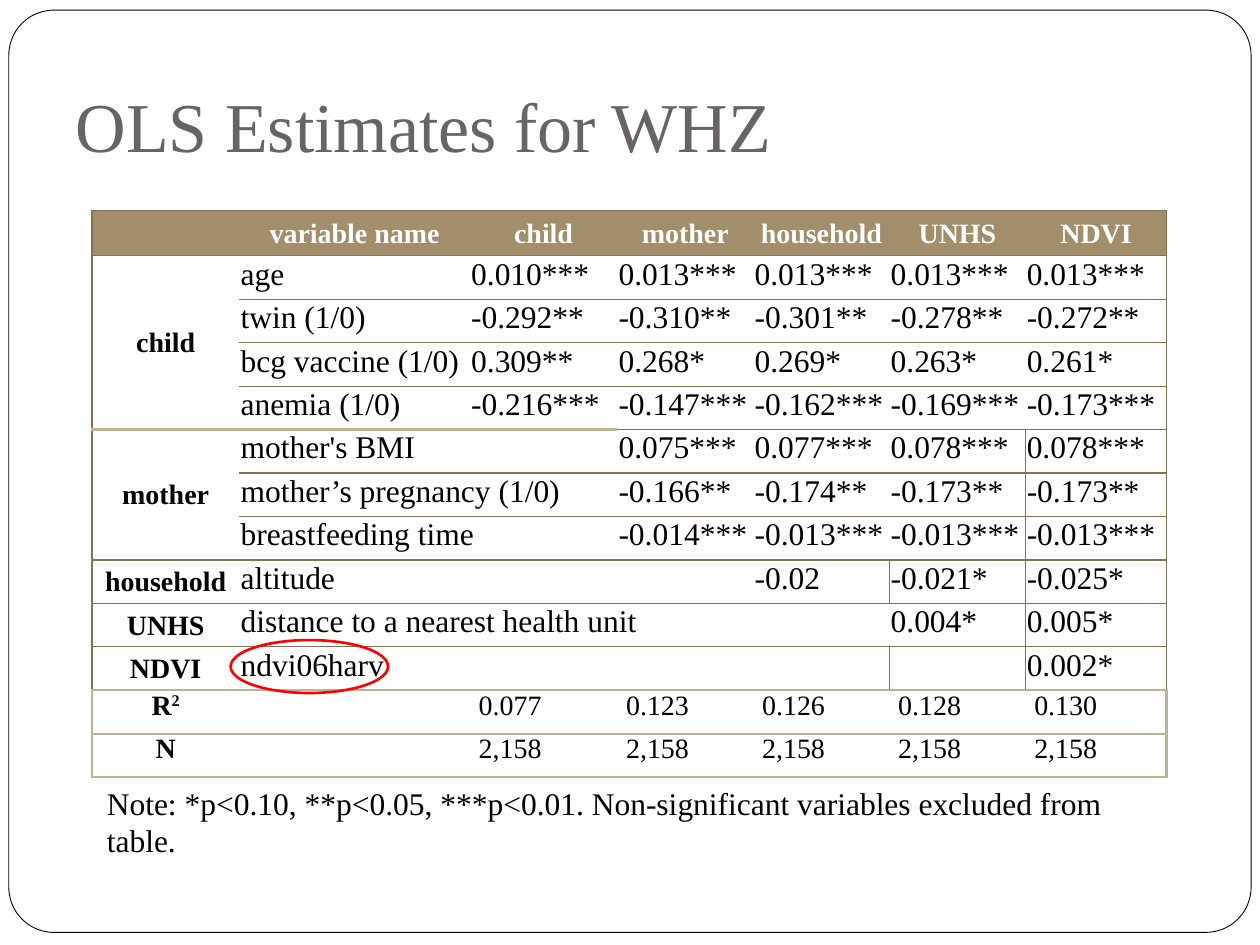
from lxml import etree
from pptx import Presentation
from pptx.dml.color import RGBColor
from pptx.enum.shapes import MSO_SHAPE
from pptx.enum.text import MSO_ANCHOR, PP_ALIGN
from pptx.oxml.ns import qn
from pptx.util import Inches, Pt

TOP, MIDDLE, BOTTOM = MSO_ANCHOR.TOP, MSO_ANCHOR.MIDDLE, MSO_ANCHOR.BOTTOM
LEFT, CENTER = PP_ALIGN.LEFT, PP_ALIGN.CENTER
ROUNDED, OVAL = MSO_SHAPE.ROUNDED_RECTANGLE, MSO_SHAPE.OVAL

FONT = "Times New Roman"
COLORS = {"title": "696464", "header": "A28E6A", "rule": "847253", "accent": "BDB196",
          "text": "000000", "white": "FFFFFF", "highlight": "FF0000"}
PLAIN_STYLE = "{2D5ABB26-0587-4C30-8999-92F81FD0307C}"

TITLE = "OLS Estimates for WHZ"
NOTE = ("Note: *p<0.10, **p<0.05, ***p<0.01. "
        "Non-significant variables excluded from table.")
HEADER = ["", "variable name", "child", "mother", "household", "UNHS", "NDVI"]
GROUPS = [
    ("child", [
        ("age", ["0.010***", "0.013***", "0.013***", "0.013***", "0.013***"]),
        ("twin (1/0)", ["-0.292**", "-0.310**", "-0.301**", "-0.278**", "-0.272**"]),
        ("bcg vaccine (1/0)", ["0.309**", "0.268*", "0.269*", "0.263*", "0.261*"]),
        ("anemia (1/0)", ["-0.216***", "-0.147***", "-0.162***", "-0.169***", "-0.173***"]),
    ]),
    ("mother", [
        ("mother's BMI", ["0.075***", "0.077***", "0.078***", "0.078***"]),
        ("mother’s pregnancy (1/0)", ["-0.166**", "-0.174**", "-0.173**", "-0.173**"]),
        ("breastfeeding time", ["-0.014***", "-0.013***", "-0.013***", "-0.013***"]),
    ]),
    ("household", [("altitude", ["-0.02", "-0.021*", "-0.025*"])]),
    ("UNHS", [("distance to a nearest health unit", ["0.004*", "0.005*"])]),
    ("NDVI", [("ndvi06harv", ["", "", "0.002*"])]),
]
SUMMARY = [("R", "2", ["0.077", "0.123", "0.126", "0.128", "0.130"]),
           ("N", "", ["2,158"] * 5)]
COLUMN_WIDTHS = [1.17, 1.83, 1.17, 1.08, 1.08, 1.08, 1.12]
HEADER_HEIGHT, ROW_HEIGHT = 0.36, 0.345
LAST_COLUMN = len(HEADER) - 1
SUMMARY_START = 1 + sum(len(variables) for _, variables in GROUPS)
ROW_COUNT = SUMMARY_START + len(SUMMARY)
SEPARATORS = {(row, LAST_COLUMN) for row in range(5, 11)} | {(8, 5), (10, 5)}


def rgb(name):
    return RGBColor.from_string(COLORS[name])


def add_span(para, text, size, color="text", bold=False):
    span = para.add_run()
    span.text = text
    span.font.name = FONT
    span.font.size = Pt(size)
    span.font.bold = bold
    span.font.color.rgb = rgb(color)
    return span


def set_margins(target, left, top, right, bottom):
    target.margin_left, target.margin_top = Inches(left), Inches(top)
    target.margin_right, target.margin_bottom = Inches(right), Inches(bottom)


def write(cell, text, size=18, color="text", bold=False, align=LEFT, anchor=TOP):
    cell.vertical_anchor = anchor
    para = cell.text_frame.paragraphs[0]
    para.alignment = align
    if text:
        add_span(para, text, size, color, bold)
    return para


def add_border(cell, side, color):
    width = Pt(1.5 if color == "accent" else 0.75)
    line = etree.SubElement(cell._tc.get_or_add_tcPr(), qn("a:ln" + side), w=str(width))
    fill = etree.SubElement(line, qn("a:solidFill"))
    etree.SubElement(fill, qn("a:srgbClr"), val=COLORS[color])


def bottom_color(row, column):
    if row >= SUMMARY_START - 1 or (row == 4 and column < 3):
        return "accent"
    return "rule"


def format_cell(cell, row, column):
    summary = row >= SUMMARY_START
    set_margins(cell, *((0.07, 0, 0.07, 0) if summary else (0.01, 0.01, 0.01, 0)))
    side_color = "accent" if summary else "rule"
    if column == 0 or (row, column) in SEPARATORS:
        add_border(cell, "L", side_color)
    if column == LAST_COLUMN:
        add_border(cell, "R", side_color)
    if column > 0 or not cell.is_spanned:
        last_row = row + (cell.span_height if cell.is_merge_origin else 1) - 1
        add_border(cell, "T", bottom_color(row - 1, column))
        add_border(cell, "B", bottom_color(last_row, column))
    if row == 0:
        cell.fill.solid()
        cell.fill.fore_color.rgb = rgb("header")
    else:
        cell.fill.background()


def fill_table(table):
    for column, text in enumerate(HEADER):
        write(table.cell(0, column), text, 16, "white", True, CENTER, MIDDLE)
    row = 1
    for label, variables in GROUPS:
        label_cell = table.cell(row, 0)
        if len(variables) > 1:
            label_cell.merge(table.cell(row + len(variables) - 1, 0))
        write(label_cell, label, 16, bold=True, align=CENTER, anchor=MIDDLE)
        for name, values in variables:
            first = len(HEADER) - len(values)
            if first > 2:
                table.cell(row, 1).merge(table.cell(row, first - 1))
            write(table.cell(row, 1), name)
            for column, value in enumerate(values, first):
                write(table.cell(row, column), value)
            row += 1
    for row, (label, power, values) in enumerate(SUMMARY, SUMMARY_START):
        para = write(table.cell(row, 0), label, 16, bold=True, align=CENTER)
        if power:
            span = add_span(para, power, 16, bold=True)
            span.font._element.set("baseline", "30000")
        for column, value in enumerate(values, 2):
            write(table.cell(row, column), value, 16)


def add_outline(page, kind, place, color, width):
    shape = page.shapes.add_shape(kind, *map(Inches, place))
    shape.shadow.inherit = False
    shape.fill.background()
    shape.line.color.rgb = rgb(color)
    shape.line.width = Pt(width)
    return shape


def main():
    deck = Presentation()
    deck.slide_width, deck.slide_height = Inches(10), Inches(7.5)
    page = deck.slides.add_slide(deck.slide_layouts[5])

    frame = add_outline(page, ROUNDED, (0.07, 0.08, 9.86, 7.32), "text", 0.5)
    frame.adjustments[0] = 0.049
    frame.fill.solid()
    frame.fill.fore_color.rgb = rgb("white")
    page.shapes._spTree.insert(2, frame._element)

    title = page.shapes.title
    title.left, title.top = Inches(0.5), Inches(0.17)
    title.width, title.height = Inches(9), Inches(1.25)
    title.text_frame.vertical_anchor = BOTTOM
    set_margins(title.text_frame, 0.1, 0.05, 0.1, 0.1)
    para = title.text_frame.paragraphs[0]
    para.alignment = LEFT
    add_span(para, TITLE, 40, "title")

    height = HEADER_HEIGHT + ROW_HEIGHT * (ROW_COUNT - 1)
    holder = page.shapes.add_table(ROW_COUNT, len(HEADER), Inches(0.73), Inches(1.67),
                                   Inches(sum(COLUMN_WIDTHS)), Inches(height))
    table = holder.table
    table._tbl.tblPr.find(qn("a:tableStyleId")).text = PLAIN_STYLE
    table.horz_banding = False
    for column, width in zip(table.columns, COLUMN_WIDTHS):
        column.width = Inches(width)
    for index, row in enumerate(table.rows):
        row.height = Inches(ROW_HEIGHT if index else HEADER_HEIGHT)
    fill_table(table)
    for row in range(ROW_COUNT):
        for column in range(len(HEADER)):
            format_cell(table.cell(row, column), row, column)

    note = page.shapes.add_textbox(Inches(0.75), Inches(6.17), Inches(8.33), Inches(0.4))
    note.text_frame.word_wrap = True
    add_span(note.text_frame.paragraphs[0], NOTE, 18)

    add_outline(page, OVAL, (1.83, 5.08, 1.25, 0.42), "highlight", 1.5)
    deck.save("out.pptx")


if __name__ == "__main__":
    main()
